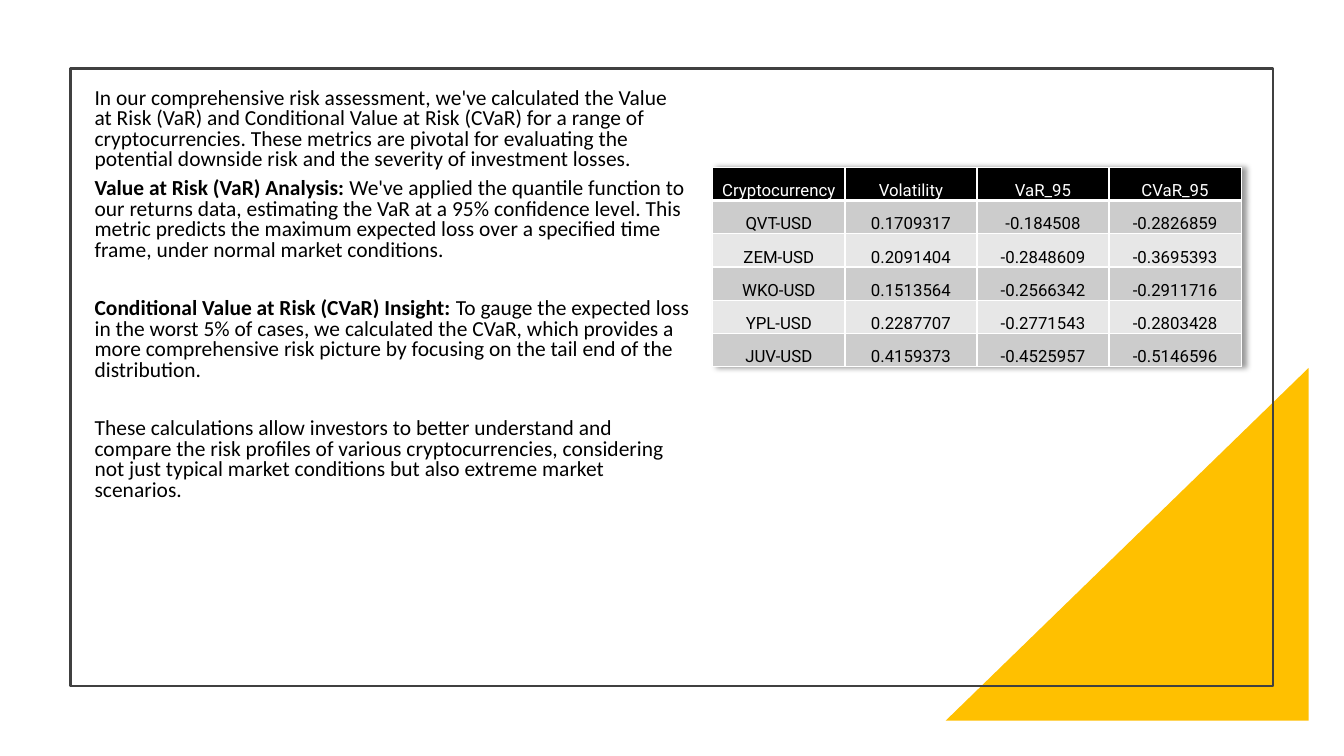
from lxml.etree import SubElement
from pptx import Presentation
from pptx.dml.color import RGBColor
from pptx.enum.shapes import MSO_SHAPE as Preset
from pptx.enum.text import MSO_ANCHOR as Anchor, PP_ALIGN as Align
from pptx.oxml import parse_xml
from pptx.oxml.ns import nsdecls, qn
from pptx.util import Pt

PX = 9144

INTRO = "In our comprehensive risk assessment, we've calculated the Value at Risk (VaR) and Conditional Value at Risk (CVaR) for a range of cryptocurrencies. These metrics are pivotal for evaluating the potential downside risk and the severity of investment losses."
VAR = "We've applied the quantile function to our returns data, estimating the VaR at a 95% confidence level. This metric predicts the maximum expected loss over a specified time frame, under normal market conditions."
CVAR = "To gauge the expected loss in the worst 5% of cases, we calculated the CVaR, which provides a more comprehensive risk picture by focusing on the tail end of the distribution."
CLOSING = "These calculations allow investors to better understand and compare the risk profiles of various cryptocurrencies, considering not just typical market conditions but also extreme market scenarios."

PARAGRAPHS = [
    ("", INTRO, 0),
    ("Value at Risk (VaR) Analysis:", " " + VAR, 0),
    ("Conditional Value at Risk (CVaR) Insight:", " " + CVAR, 21),
    ("", CLOSING, 21),
]

RISK_ROWS = [
    ["Cryptocurrency", "Volatility", "VaR_95", "CVaR_95"],
    ["QVT-USD", "0.1709317", "-0.184508", "-0.2826859"],
    ["ZEM-USD", "0.2091404", "-0.2848609", "-0.3695393"],
    ["WKO-USD", "0.1513564", "-0.2566342", "-0.2911716"],
    ["YPL-USD", "0.2287707", "-0.2771543", "-0.2803428"],
    ["JUV-USD", "0.4159373", "-0.4525957", "-0.5146596"],
]


def color(value):
    return RGBColor.from_string(value)


def apply(target, formats):
    for name, value in formats.items():
        setattr(target, name, value)


class SlideBuilder:
    black, white, gold, gray = "000000", "FFFFFF", "FFC000", "404040"
    bands = ["CCCCCC", "E7E7E7"]
    body = {"name": "Calibri", "size": Pt(15.3)}
    figures = {"name": "Roboto", "size": Pt(12), "bold": False}

    def __init__(self, page):
        self.page = page

    def span(self, para, text, formats, fill):
        span = para.add_run()
        span.text = text
        apply(span.font, formats)
        span.font.color.rgb = color(fill)

    def shape(self, preset, bounds, fill=None, line=None, flip=False):
        shape = self.page.shapes.add_shape(preset, *(PX * side for side in bounds))
        shape.shadow.inherit = False
        if fill:
            shape.fill.solid()
            shape.fill.fore_color.rgb = color(fill)
        else:
            shape.fill.background()
        if line:
            shape.line.color.rgb = color(line)
            shape.line.width = Pt(1.5)
        else:
            shape.line.fill.background()
        if flip:
            shape.element.spPr.find(qn("a:xfrm")).set("flipH", "1")

    def text(self, bounds, paragraphs):
        box = self.page.shapes.add_textbox(*(PX * side for side in bounds))
        frame = box.text_frame
        apply(frame, {"word_wrap": True, "margin_right": Pt(7.4)})
        for index, (lead, rest, gap) in enumerate(paragraphs):
            para = frame.add_paragraph() if index else frame.paragraphs[0]
            apply(para, {"line_spacing": 0.8, "space_after": Pt(6), "space_before": Pt(gap)})
            if lead:
                self.span(para, lead, self.body | {"bold": True}, self.black)
            self.span(para, rest, self.body | {"bold": False}, self.black)

    def borders(self, cell, widths):
        properties = cell._tc.get_or_add_tcPr()
        for index, (side, width) in enumerate(widths.items()):
            line = parse_xml(f'<a:ln{side} {nsdecls("a")} w="{Pt(width)}"/>')
            fill = SubElement(line, qn("a:solidFill"))
            SubElement(fill, qn("a:srgbClr"), val=self.white)
            properties.insert(index, line)

    def cell(self, cell, text, row):
        apply(cell, {"vertical_anchor": Anchor.BOTTOM, "margin_left": PX,
                     "margin_right": PX, "margin_top": PX, "margin_bottom": 0})
        cell.fill.solid()
        cell.fill.fore_color.rgb = color(self.bands[(row - 1) % 2] if row else self.black)
        para = cell.text_frame.paragraphs[0]
        para.alignment = Align.CENTER
        self.span(para, text, self.figures, self.black if row else self.white)
        self.borders(cell, {"L": 1, "R": 1, "T": 3 if row == 1 else 1, "B": 1 if row else 3})

    def table(self, left, top, column_width, row_height, rows):
        size = len(rows), len(rows[0])
        frame = self.page.shapes.add_table(*size, PX * left, PX * top,
                                           PX * column_width * size[1], PX * row_height * size[0])
        table = frame.table
        apply(table, {"first_row": False, "horz_banding": False})
        for column in table.columns:
            column.width = PX * column_width
        for index, values in enumerate(rows):
            table.rows[index].height = PX * row_height
            for position, value in enumerate(values):
                self.cell(table.cell(index, position), value, index)
        self.shadow(table)

    def shadow(self, table):
        effects = parse_xml(
            f'<a:effectLst {nsdecls("a")}><a:outerShdw blurRad="50800" dist="38100" dir="0" '
            'algn="l" rotWithShape="0"><a:srgbClr val="000000"><a:alpha val="40000"/>'
            '</a:srgbClr></a:outerShdw></a:effectLst>')
        table._tbl.tblPr.insert(0, effects)


def main():
    deck = Presentation()
    apply(deck, {"slide_width": PX * 1333, "slide_height": PX * 750})
    builder = SlideBuilder(deck.slides.add_slide(deck.slide_layouts[6]))
    builder.shape(Preset.RIGHT_TRIANGLE, (938, 365, 360, 350), fill=builder.gold, flip=True)
    builder.shape(Preset.RECTANGLE, (70, 68, 1193, 613), line=builder.gray)
    builder.text((84, 83, 610, 431), PARAGRAPHS)
    builder.table(707, 166, 131, 33, RISK_ROWS)
    deck.save("out.pptx")


if __name__ == "__main__":
    main()
